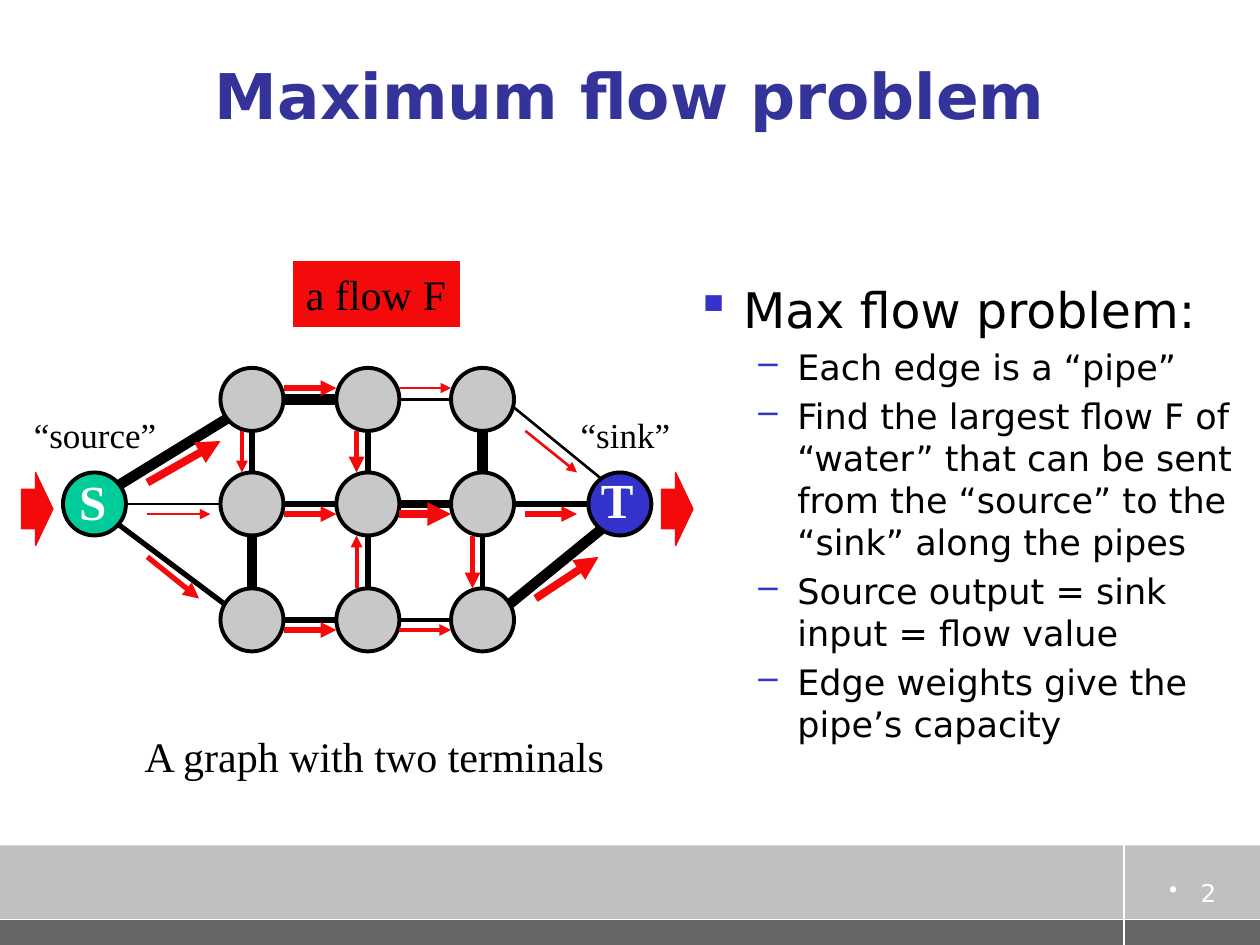
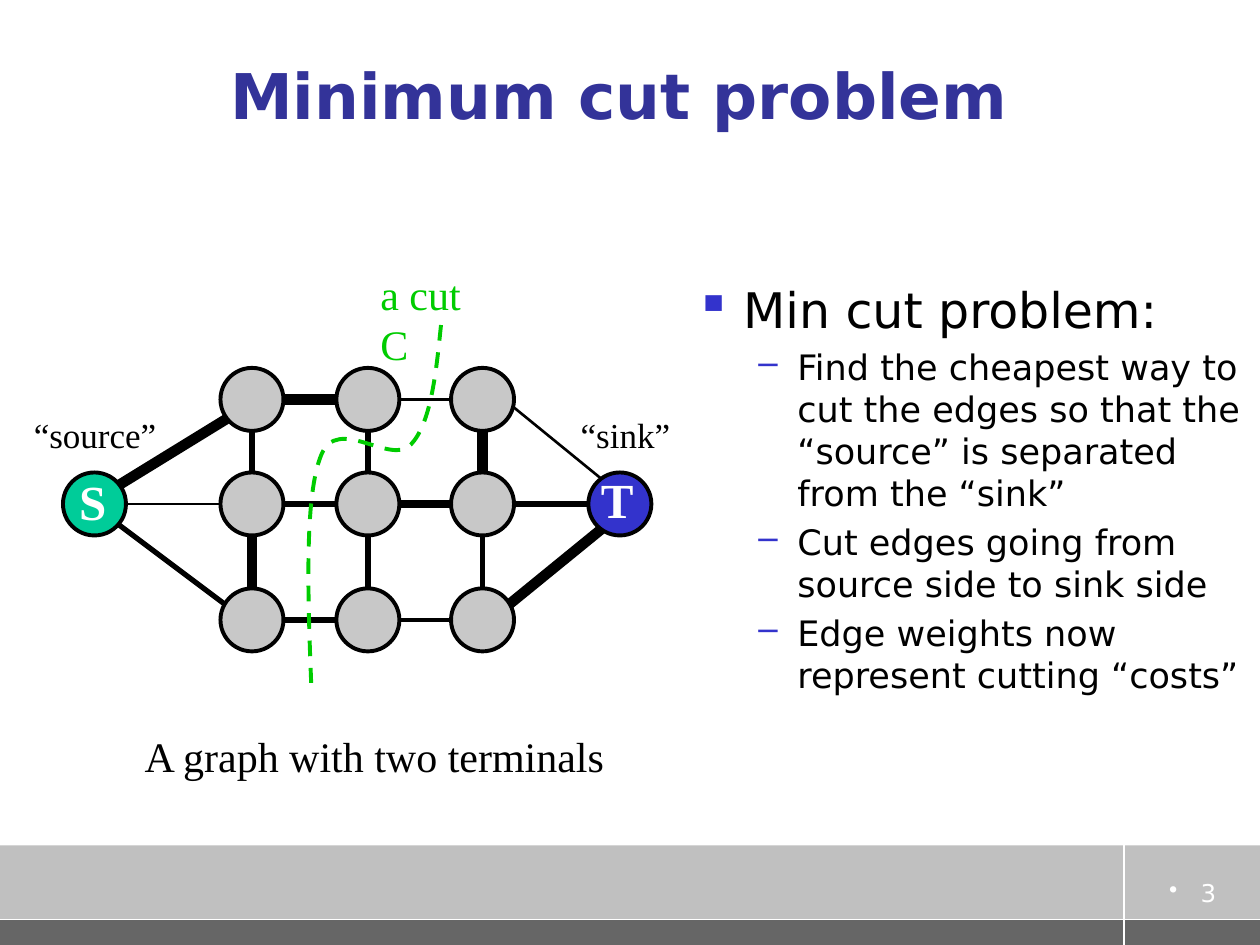
"""Build two slides that explain the maximum flow and minimum cut problems on one graph."""
from dataclasses import dataclass
from typing import Any, NamedTuple, Optional

from lxml import etree
from pptx import Presentation
from pptx import util as u
from pptx.dml import color
from pptx.enum import dml, shapes, text
from pptx.oxml import ns


@dataclass(frozen=True)
class Theme:
    sans: str = "DejaVu Sans"
    serif: str = "Times New Roman"
    black: str = "000000"
    white: str = "FFFFFF"
    band: str = "C0C0C0"
    strip: str = "666666"
    title: str = "333399"
    accent: str = "3333CC"
    node: str = "C8C8C8"
    source: str = "00CC99"
    flow: str = "F40A0A"
    cut: str = "00CC00"
    title_size: float = 36
    head_size: float = 28
    caption_size: float = 24
    point_size: float = 20
    number_size: float = 14


THEME = Theme()


class Area(NamedTuple):
    left: float
    top: float
    width: float
    height: float


class Edge(NamedTuple):
    x1: float
    y1: float
    x2: float
    y2: float
    weight: float


class Style(NamedTuple):
    size: float
    colour: str = THEME.black
    font: str = THEME.serif
    bold: bool = False


class Bullet(NamedTuple):
    mark: str
    colour: str
    margin: float
    hang: float


class Label(NamedTuple):
    words: str
    area: Area
    style: Style
    fill: Optional[str] = None


@dataclass(frozen=True)
class Lesson:
    number: int
    title: str
    heading: str
    points: tuple[str, ...]


COLUMNS = (2, 2.92, 3.83)
ROWS = (3.17, 4, 4.92)
RADIUS = 0.25
INSET = 0.08

ROW_WEIGHTS = ((6, 1.5), (3, 4.5), (3, 2.25))
COLUMN_WEIGHTS = ((3, 3, 6), (6, 3, 3))
TERMINAL_EDGES = (
    Edge(0.83, 3.92, 1.92, 3.25, 6),
    Edge(0.92, 4, 1.92, 4, 1.5),
    Edge(0.83, 4.08, 1.83, 4.83, 3),
    Edge(4, 3.17, 4.92, 3.92, 1.5),
    Edge(3.92, 4, 4.83, 4, 3),
    Edge(4, 4.83, 4.92, 4.08, 6),
)

ROW_FLOWS = ((3, 1.5), (3, 4.5), (3, 2.25))
FLOW_HEIGHTS = (3.08, 4.08, 5)
TERMINAL_FLOWS = (
    Edge(1.17, 3.83, 1.75, 3.5, 4.5),
    Edge(1.17, 4.08, 1.67, 4.08, 1.5),
    Edge(1.17, 4.42, 1.58, 4.75, 3),
    Edge(4.17, 3.42, 4.58, 3.75, 1.5),
    Edge(4.17, 4.08, 4.58, 4.08, 3),
    Edge(4.25, 4.75, 4.75, 4.42, 4.5),
)
COLUMN_FLOWS = (
    Edge(1.92, 3.42, 1.92, 3.75, 2.25),
    Edge(2.83, 3.42, 2.83, 3.75, 3),
    Edge(2.83, 4.67, 2.83, 4.25, 2.25),
    Edge(3.75, 4.25, 3.75, 4.67, 3),
)
CUT_CURVE = (
    (3.5, 2.58),
    (3.46, 2.97), (3.42, 3.36), (3.26, 3.53),
    (3.1, 3.7), (2.68, 3.29), (2.55, 3.61),
    (2.42, 3.92), (2.44, 4.67), (2.47, 5.42),
)

TERMINAL_STYLE = Style(THEME.head_size, THEME.white, bold=True)
GRAPH_LABELS = (
    Label("“source”", Area(0.17, 3.23, 1.17, 0.43), Style(THEME.point_size)),
    Label("“sink”", Area(4.51, 3.23, 0.91, 0.43), Style(THEME.point_size)),
    Label("S", Area(0.53, 3.69, 0.42, 0.57), TERMINAL_STYLE),
    Label("T", Area(4.67, 3.68, 0.46, 0.57), TERMINAL_STYLE),
    Label("A graph with two terminals", Area(1.05, 5.75, 3.86, 0.5), Style(THEME.caption_size)),
)
FLOW_LABEL = Label("a flow F", Area(2.33, 2.08, 1.32, 0.51), Style(THEME.caption_size), THEME.flow)
CUT_LABEL = Label("a cut C", Area(2.92, 2.08, 1.14, 0.5), Style(THEME.caption_size, THEME.cut))

HEAD_BULLET = Bullet("▪", THEME.accent, 0.38, 0.38)
POINT_BULLET = Bullet("–", THEME.accent, 0.81, 0.31)
NUMBER_BULLET = Bullet("•", THEME.white, 0.25, 0.25)

MAX_FLOW = Lesson(2, "Maximum flow problem", "Max flow problem:", (
    "Each edge is a “pipe”",
    "Find the largest flow F of “water” that can be sent from the “source” to the “sink” along the pipes",
    "Source output = sink input = flow value",
    "Edge weights give the pipe’s capacity",
))
MIN_CUT = Lesson(3, "Minimum cut problem ", "Min cut problem:", (
    "Find the cheapest way to cut the edges so that the “source” is separated from the “sink”",
    "Cut edges going from source side to sink side",
    "Edge weights now represent cutting “costs”",
))


def assign(target: Any, values: dict[str, Any]) -> None:
    for name, value in values.items():
        setattr(target, name, value)


def inches(values: tuple[float, ...]) -> list[u.Length]:
    return [u.Inches(value) for value in values]


def rgb(code: str) -> color.RGBColor:
    return color.RGBColor.from_string(code)


def add_tag(parent: Any, tag: str, **attributes: str) -> Any:
    return etree.SubElement(parent, ns.qn(tag), attributes)


def write(para: Any, words: str, style: Style) -> None:
    span = para.add_run()
    span.text = words
    assign(span.font, {"name": style.font, "size": u.Pt(style.size), "bold": style.bold})
    span.font.color.rgb = rgb(style.colour)


def add_bullet(para: Any, bullet: Bullet) -> None:
    properties = para._p.get_or_add_pPr()
    properties.set("marL", str(u.Inches(bullet.margin)))
    properties.set("indent", str(-u.Inches(bullet.hang)))
    add_tag(add_tag(properties, "a:buClr"), "a:srgbClr", val=bullet.colour)
    add_tag(properties, "a:buChar", char=bullet.mark)


def draw_shape(page: Any, kind: Any, area: Area, fill: str,
               line: Optional[str] = None, weight: float = 0.75) -> Any:
    shape = page.shapes.add_shape(kind, *inches(area))
    shape.shadow.inherit = False
    shape.fill.solid()
    shape.fill.fore_color.rgb = rgb(fill)
    if line:
        shape.line.color.rgb = rgb(line)
        shape.line.width = u.Pt(weight)
    else:
        shape.line.fill.background()
    return shape


def draw_edge(page: Any, edge: Edge, colour: str, arrow: bool = False) -> None:
    connector = page.shapes.add_connector(shapes.MSO_CONNECTOR.STRAIGHT, *inches(edge[:4]))
    connector.line.color.rgb = rgb(colour)
    connector.line.width = u.Pt(edge.weight)
    if arrow:
        add_tag(connector.line._get_or_add_ln(), "a:tailEnd", type="triangle")
    add_tag(connector.element.spPr, "a:effectLst")


def draw_label(page: Any, label: Label) -> None:
    box = page.shapes.add_textbox(*inches(label.area))
    assign(box.text_frame, {"word_wrap": False, "auto_size": text.MSO_AUTO_SIZE.SHAPE_TO_FIT_TEXT})
    write(box.text_frame.paragraphs[0], label.words, label.style)
    if label.fill:
        box.fill.solid()
        box.fill.fore_color.rgb = box.line.color.rgb = rgb(label.fill)
        box.line.width = u.Pt(0.75)


def draw_footer(page: Any, number: int) -> None:
    rectangle = shapes.MSO_SHAPE.RECTANGLE
    draw_shape(page, rectangle, Area(0, 6.71, 10, 0.79), THEME.band)
    draw_shape(page, rectangle, Area(0, 7.3, 10, 0.2), THEME.strip)
    draw_edge(page, Edge(8.92, 6.71, 8.92, 7.5, 1.13), THEME.white)
    draw_edge(page, Edge(0, 7.3, 10, 7.3, 0.75), THEME.white)
    box = page.shapes.add_textbox(*inches(Area(9, 6.92, 0.75, 0.33)))
    box.text_frame.word_wrap = True
    para = box.text_frame.paragraphs[0]
    para.alignment = text.PP_ALIGN.RIGHT
    add_bullet(para, NUMBER_BULLET)
    write(para, str(number), Style(THEME.number_size, THEME.white, THEME.sans))


def draw_points(page: Any, lesson: Lesson) -> None:
    frame = page.shapes.add_textbox(*inches(Area(5.42, 2.17, 4.58, 4.08))).text_frame
    frame.word_wrap = True
    for index, words in enumerate((lesson.heading, *lesson.points)):
        para = frame.add_paragraph() if index else frame.paragraphs[0]
        size = THEME.point_size if index else THEME.head_size
        assign(para, {"level": min(index, 1), "space_before": u.Pt(0.2 * size)})
        add_bullet(para, POINT_BULLET if index else HEAD_BULLET)
        write(para, words, Style(size, font=THEME.sans))


def draw_node(page: Any, x: float, y: float, fill: str) -> None:
    area = Area(x - RADIUS, y - RADIUS, 2 * RADIUS, 2 * RADIUS)
    draw_shape(page, shapes.MSO_SHAPE.OVAL, area, fill, THEME.black, 2.25)


def draw_graph(page: Any) -> None:
    across = [Edge(COLUMNS[i], y, COLUMNS[i + 1] - INSET, y, weight)
              for y, weights in zip(ROWS, ROW_WEIGHTS) for i, weight in enumerate(weights)]
    upward = [Edge(x, ROWS[i + 1] - INSET, x, ROWS[i] + INSET, weight)
              for i, weights in enumerate(COLUMN_WEIGHTS) for x, weight in zip(COLUMNS, weights)]
    for edge in (*TERMINAL_EDGES, *across, *upward):
        draw_edge(page, edge, THEME.black)
    for y in ROWS:
        for x in COLUMNS:
            draw_node(page, x, y, THEME.node)
    draw_node(page, 0.75, ROWS[1], THEME.source)
    draw_node(page, 4.92, ROWS[1], THEME.accent)
    for label in GRAPH_LABELS:
        draw_label(page, label)


def draw_flow(page: Any) -> None:
    draw_label(page, FLOW_LABEL)
    across = [Edge(COLUMNS[i] + RADIUS, y, COLUMNS[i + 1] - RADIUS, y, weight)
              for y, weights in zip(FLOW_HEIGHTS, ROW_FLOWS) for i, weight in enumerate(weights)]
    for edge in (*TERMINAL_FLOWS, *across, *COLUMN_FLOWS):
        draw_edge(page, edge, THEME.flow, arrow=True)
    for left in (0.17, 5.25):
        arrow = draw_shape(page, shapes.MSO_SHAPE.RIGHT_ARROW, Area(left, 3.75, 0.25, 0.58),
                           THEME.flow, THEME.flow)
        arrow.adjustments[0], arrow.adjustments[1] = 0.54, 0.55


def draw_cut(page: Any) -> None:
    start, *controls = [inches(point) for point in CUT_CURVE]
    builder = page.shapes.build_freeform(*start)
    builder.add_line_segments(controls, close=False)
    curve = builder.convert_to_shape()
    curve.shadow.inherit = False
    curve.fill.background()
    curve.line.color.rgb = rgb(THEME.cut)
    assign(curve.line, {"width": u.Pt(2.25), "dash_style": dml.MSO_LINE.DASH})
    outline = next(curve.element.iter(ns.qn("a:path")))
    segments = outline.findall(ns.qn("a:lnTo"))
    for first in range(0, len(segments), 3):
        bezier = add_tag(outline, "a:cubicBezTo")
        for segment in segments[first:first + 3]:
            bezier.append(segment[0])
            outline.remove(segment)
    draw_label(page, CUT_LABEL)


def add_lesson(deck: Any, lesson: Lesson) -> Any:
    page = deck.slides.add_slide(deck.slide_layouts[5])
    title = page.shapes.title
    assign(title, dict(zip(Area._fields, inches(Area(0.5, 0.25, 9, 1)))))
    assign(title.text_frame, {"word_wrap": True, "auto_size": text.MSO_AUTO_SIZE.NONE,
                              "vertical_anchor": text.MSO_ANCHOR.MIDDLE})
    para = title.text_frame.paragraphs[0]
    para.alignment = text.PP_ALIGN.CENTER
    write(para, lesson.title, Style(THEME.title_size, THEME.title, THEME.sans, True))
    draw_footer(page, lesson.number)
    draw_points(page, lesson)
    draw_graph(page)
    return page


def main() -> None:
    deck = Presentation()
    assign(deck, {"slide_width": u.Inches(10), "slide_height": u.Inches(7.5)})
    draw_flow(add_lesson(deck, MAX_FLOW))
    draw_cut(add_lesson(deck, MIN_CUT))
    deck.save("out.pptx")


if __name__ == "__main__":
    main()
